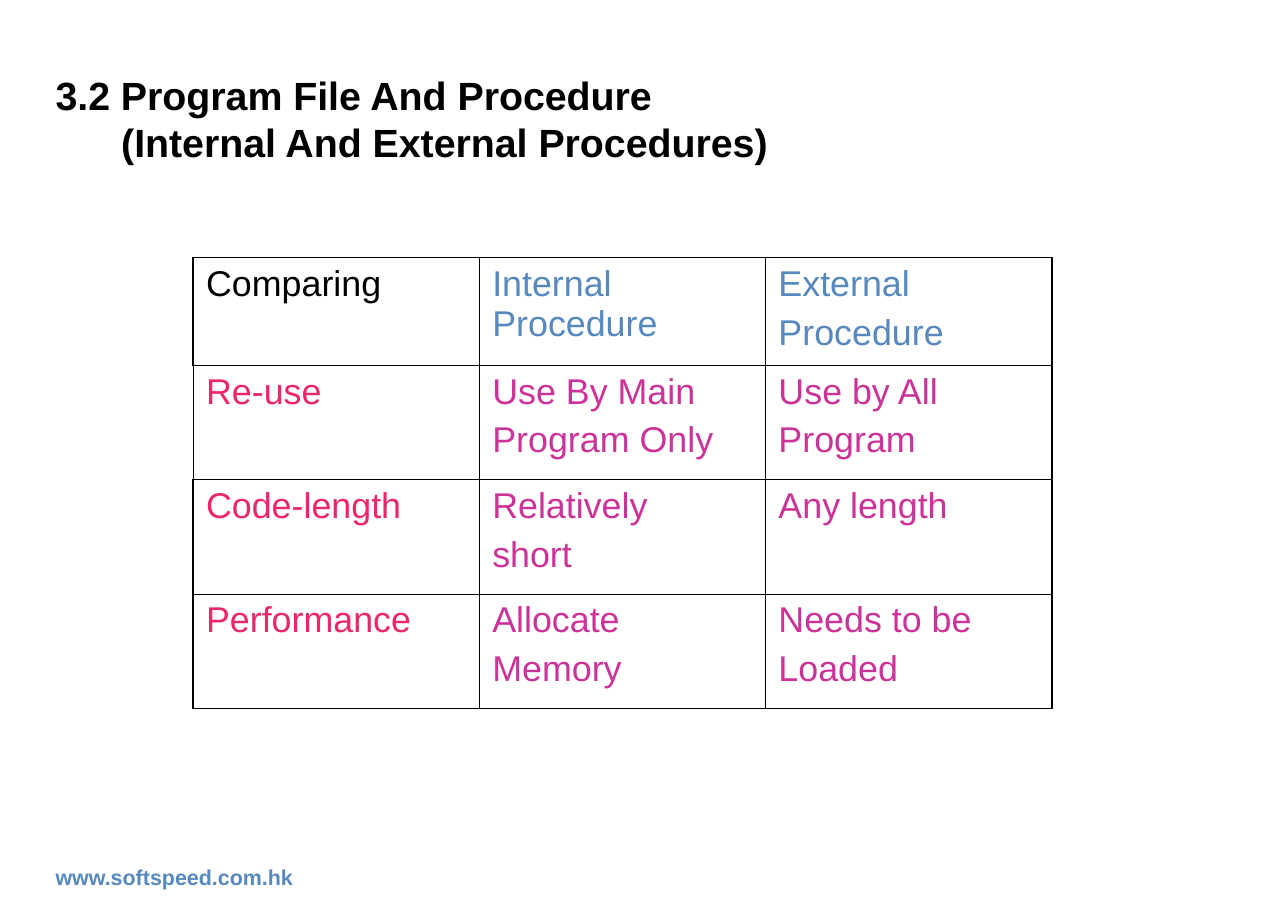
from pptx import Presentation
from pptx.dml.color import RGBColor
from pptx.enum.text import MSO_ANCHOR
from pptx.oxml import parse_xml
from pptx.oxml.ns import nsdecls
from pptx.util import Pt

COLORS = {
    "black": "000000",
    "blue": "5788BE",
    "red": "EB2768",
    "magenta": "CC3399",
}
FONT = "Arial"
THIN, THICK = 0.45, 1.08

# Each cell is a list of paragraphs
COMPARISON = [
    [["Comparing"], ["Internal Procedure"], ["External", "Procedure"]],
    [["Re-use"], ["Use By Main", "Program Only"], ["Use by All", "Program"]],
    [["Code-length"], ["Relatively", "short"], ["Any length"]],
    [["Performance"], ["Allocate", "Memory"], ["Needs to be", "Loaded"]],
]
HEADER_HEIGHT = 60
THIN_LEFT_ROW = 1  # the one row whose outer left edge is thin


def style_paragraph(paragraph, size, color, bold=False):
    font = paragraph.font
    font.name, font.size, font.bold = FONT, Pt(size), bold
    font.color.rgb = RGBColor.from_string(COLORS[color])


def add_text(slide, box, text, size, color, anchor=MSO_ANCHOR.TOP):
    text_box = slide.shapes.add_textbox(*map(Pt, box))
    frame = text_box.text_frame
    frame.word_wrap = True
    frame.vertical_anchor = anchor
    paragraph = frame.paragraphs[0]
    paragraph.text = text
    style_paragraph(paragraph, size, color, bold=True)
    return paragraph


def add_title(slide, box):
    paragraph = add_text(
        slide, box,
        "3.2 Program File And Procedure\v(Internal And External Procedures)",
        22, "black", MSO_ANCHOR.MIDDLE)
    # Hanging indent as wide as the section number
    properties = paragraph._p.get_or_add_pPr()
    properties.set("marL", str(Pt(36.7)))
    properties.set("indent", str(Pt(-36.7)))


def set_borders(cell, widths):
    properties = cell._tc.get_or_add_tcPr()
    for side, width in widths.items():
        properties.append(parse_xml(
            f'<a:ln{side} {nsdecls("a")} w="{Pt(width)}"><a:solidFill>'
            f'<a:srgbClr val="{COLORS["black"]}"/></a:solidFill></a:ln{side}>'))


def cell_color(row, column):
    if row == 0:
        return "black" if column == 0 else "blue"
    return "red" if column == 0 else "magenta"


def add_comparison_table(slide, box):
    row_count, column_count = len(COMPARISON), len(COMPARISON[0])
    table = slide.shapes.add_table(row_count, column_count, *map(Pt, box)).table
    table.first_row = table.horz_banding = False
    _, _, width, height = box
    for column in table.columns:
        column.width = Pt(width / column_count)
    for row in table.rows:
        row.height = Pt((height - HEADER_HEIGHT) / (row_count - 1))
    table.rows[0].height = Pt(HEADER_HEIGHT)

    for row, texts in enumerate(COMPARISON):
        for column, lines in enumerate(texts):
            cell = table.cell(row, column)
            cell.text = "\n".join(lines)
            for index, paragraph in enumerate(cell.text_frame.paragraphs):
                style_paragraph(paragraph, 20, cell_color(row, column))
                if index:
                    paragraph.space_before = Pt(5)
            outer = {
                "L": column == 0 and row != THIN_LEFT_ROW,
                "R": column == column_count - 1,
                "T": row == 0,
                "B": row == row_count - 1,
            }
            set_borders(cell, {side: THICK if edge else THIN
                               for side, edge in outer.items()})
            cell.fill.background()


def add_footer(slide, box):
    add_text(slide, box, "www.softspeed.com.hk", 12, "blue")


def main():
    presentation = Presentation()
    presentation.slide_width, presentation.slide_height = Pt(720), Pt(510)
    slide = presentation.slides.add_slide(presentation.slide_layouts[6])
    add_footer(slide, (24, 479.5, 246, 21.6))
    add_title(slide, (24, 48, 438, 36))
    add_comparison_table(slide, (108, 144, 480, 252))
    presentation.save("out.pptx")


if __name__ == "__main__":
    main()
